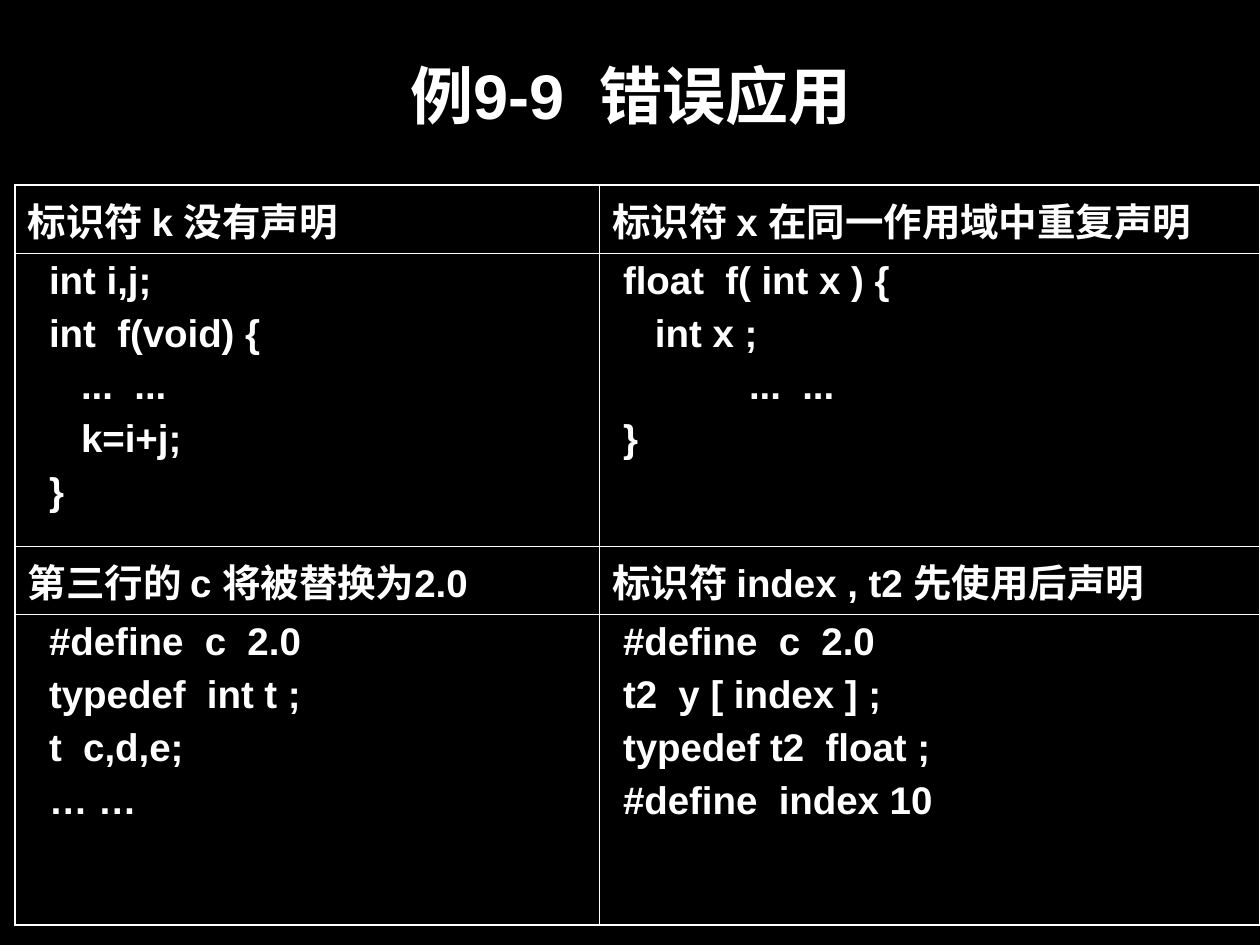
"""Build the slide on wrong uses of identifiers in C."""
from lxml.etree import SubElement
from pptx import Presentation
from pptx.dml.color import RGBColor
from pptx.enum.text import MSO_ANCHOR, PP_ALIGN
from pptx.oxml.ns import qn
from pptx.util import Inches, Pt

BLACK = RGBColor(0, 0, 0)
WHITE = RGBColor(255, 255, 255)
THICK, THIN = Pt(1.08), Pt(0.45)
COLS = [4.64, 5.24]
ROWS = [0.54, 2.33, 0.54, 2.46]
CELLS = [
    ["标识符 k 没有声明", "标识符 x 在同一作用域中重复声明"],
    ["  int i,j;\n  int  f(void) {\n     ...  ...\n     k=i+j;\n  }",
     " float  f( int x ) {\n    int x ;\n\t ...  ...\n }"],
    ["第三行的 c 将被替换为2.0", "标识符 index , t2 先使用后声明"],
    ["  #define  c  2.0\n  typedef  int t ;\n  t  c,d,e;\n  … …",
     " #define  c  2.0\n t2  y [ index ] ;\n typedef t2  float ;\n #define  index 10"],
]


def set_font(p, size):
    p.font.name = "Arial"
    p.font.size = Pt(size)
    p.font.bold = True
    p.font.color.rgb = WHITE


def set_borders(cell, widths):
    tcPr = cell._tc.get_or_add_tcPr()
    for i, (side, width) in enumerate(widths.items()):
        ln = SubElement(tcPr, qn(f"a:ln{side}"), w=str(width))
        fill = SubElement(ln, qn("a:solidFill"))
        SubElement(fill, qn("a:srgbClr"), val=str(WHITE))
        tcPr.insert(i, ln)


prs = Presentation()
prs.slide_width = Inches(10)
prs.slide_height = Inches(7.5)
s = prs.slides.add_slide(prs.slide_layouts[6])
s.background.fill.solid()
s.background.fill.fore_color.rgb = BLACK

title = s.shapes.add_textbox(Inches(0.51), Inches(0.29), Inches(9), Inches(0.91))
tf = title.text_frame
tf.word_wrap = True
tf.vertical_anchor = MSO_ANCHOR.MIDDLE
p = tf.paragraphs[0]
p.text = "例9-9  错误应用"
p.alignment = PP_ALIGN.CENTER
set_font(p, 36)

table = s.shapes.add_table(len(ROWS), len(COLS), Inches(0.12), Inches(1.47),
                           Inches(sum(COLS)), Inches(sum(ROWS))).table
table.first_row = False
table.horz_banding = False
for col, width in zip(table.columns, COLS):
    col.width = Inches(width)
for row, height in zip(table.rows, ROWS):
    row.height = Inches(height)

for i, texts in enumerate(CELLS):
    for j, text in enumerate(texts):
        cell = table.cell(i, j)
        cell.fill.background()
        set_borders(cell, {
            "L": THICK if j == 0 else THIN,
            "R": THICK if j == len(COLS) - 1 else THIN,
            "T": THICK if i == 0 else THIN,
            "B": THICK if i == len(ROWS) - 1 else THIN,
        })
        tf = cell.text_frame
        for n, line in enumerate(text.split("\n")):
            p = tf.add_paragraph() if n else tf.paragraphs[0]
            p.text = line
            p.space_before = Pt(5.5 if n else 0)
            if "\t" in line:
                tabs = SubElement(p._p.get_or_add_pPr(), qn("a:tabLst"))
                SubElement(tabs, qn("a:tab"), pos=str(Inches(1)), algn="l")
            set_font(p, 22)

prs.save("out.pptx")
